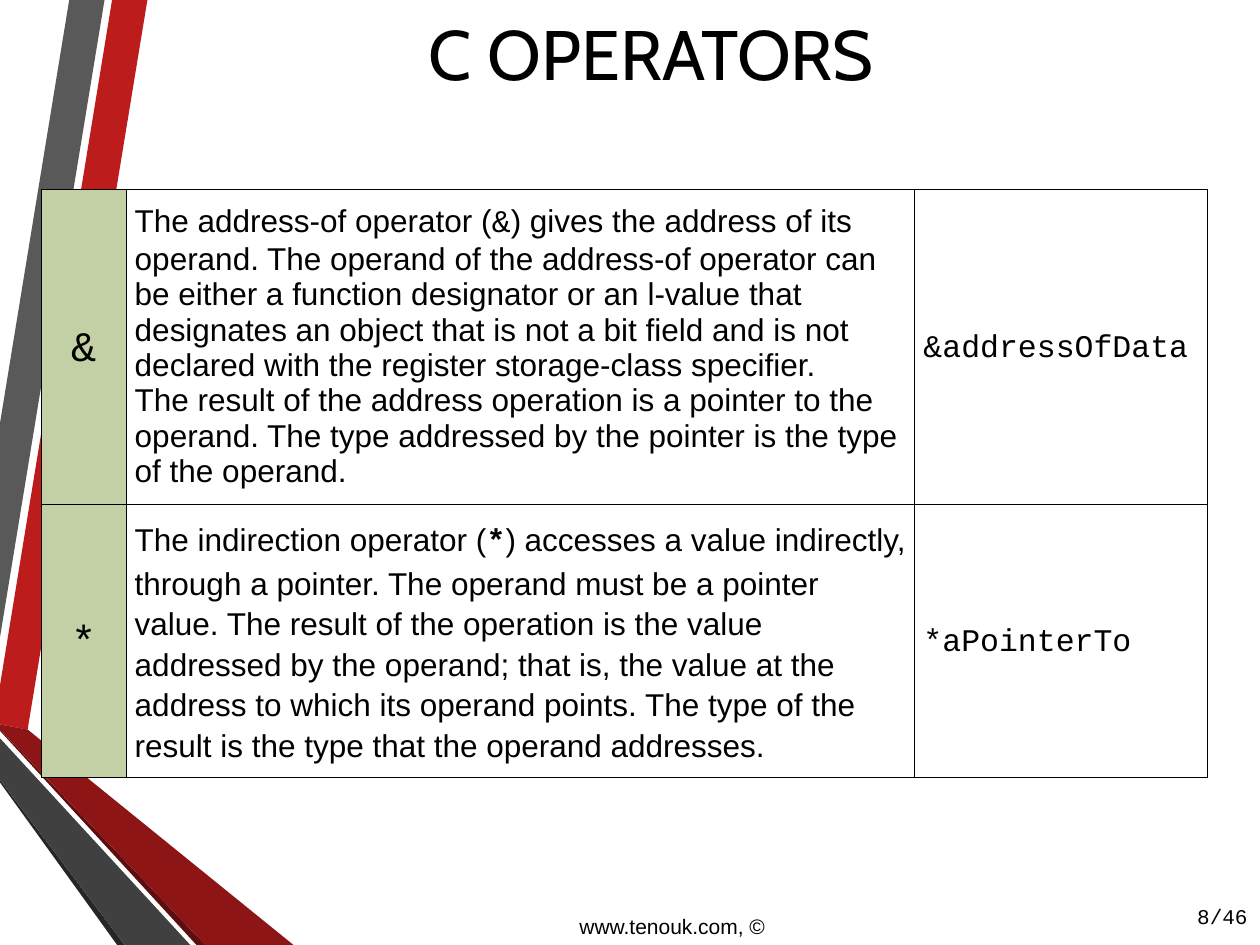
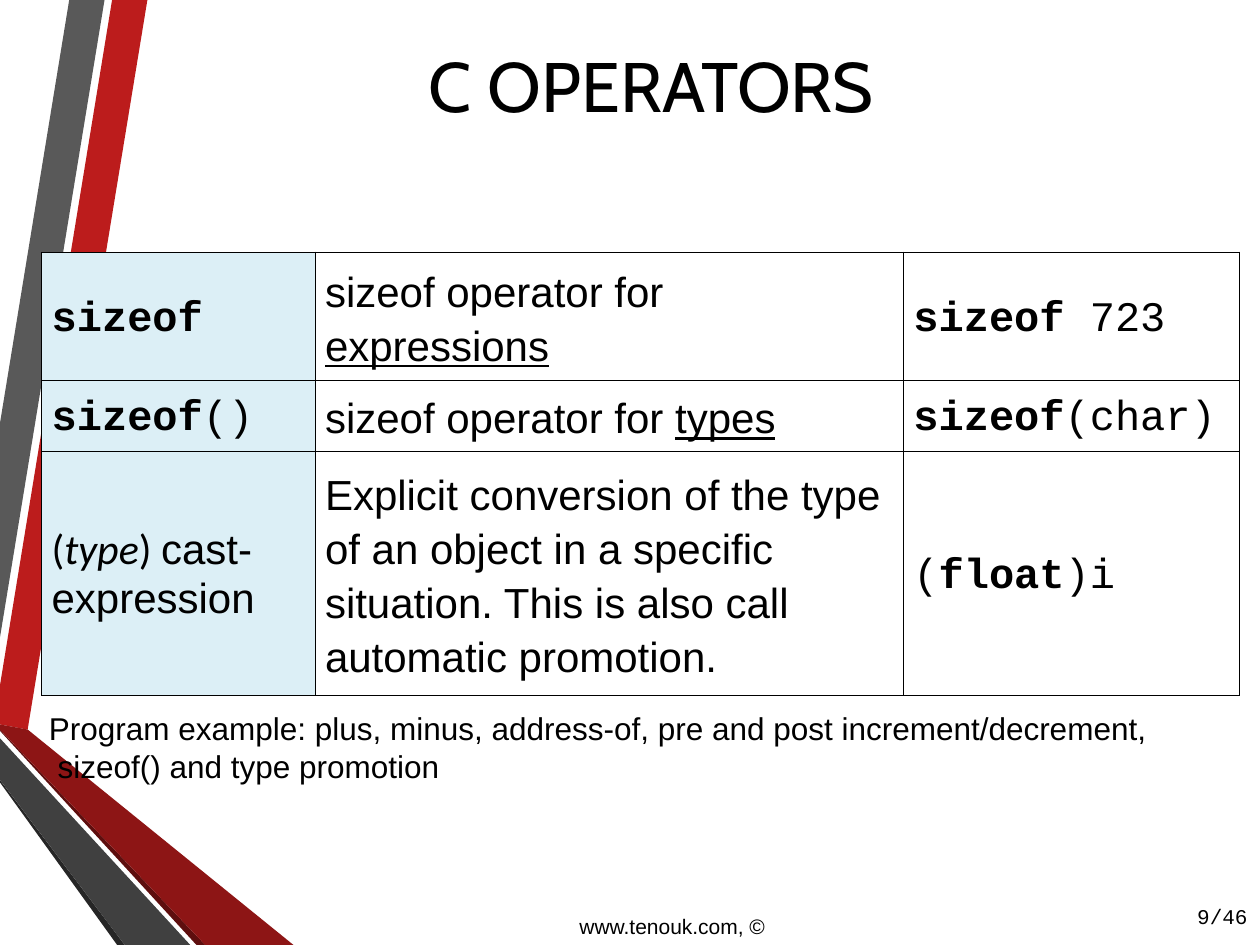
"""Build two slides on C operators: pointer operators, then sizeof and casts."""
import lxml.etree
import pptx
import pptx.dml.color
import pptx.enum.text
import pptx.oxml.ns
import pptx.util

Inches = pptx.util.Inches
Pt = pptx.util.Pt
ALIGN = pptx.enum.text.PP_ALIGN
MIDDLE = pptx.enum.text.MSO_ANCHOR.MIDDLE

COLORS = {
    "text": "000000",
    "pointer": "C3CFA4",
    "sizeof": "DCEFF6",
    "red": "BC1C1C",
    "gray": "595959",
    "gray_edge": "262626",
    "red_edge": "5E0E0E",
    "dark_red": "8D1515",
    "dark_gray": "404040",
}
SANS, MONO, TITLE_FONT, CAST_FONT = "Arial", "Courier New", "Cabin", "Calibri"
BORDER = Pt(0.45)
PAGE_COUNT = 46

RIBBONS = [
    ("red", [(0, 5.44), (0, 5.75), (0.22, 5.79), (1.17, 0), (0.89, 0)]),
    ("gray", [(0.83, 0), (0.55, 0), (0, 3.36), (0, 5.06)]),
    ("gray_edge", [(0, 6.19), (0, 6.21), (0.93, 7.5), (0.99, 7.5)]),
    ("red_edge", [(0, 5.79), (0, 5.8), (1.56, 7.5), (1.63, 7.5)]),
    ("dark_red", [(0, 5.79), (1.63, 7.5), (2.33, 7.5), (0.22, 5.79), (0, 5.75)]),
    ("dark_gray", [(0, 6.19), (0.99, 7.5), (1.51, 7.5), (0, 5.86)]),
]


def rgb(name):
    return pptx.dml.color.RGBColor.from_string(COLORS[name])


def write_paragraph(paragraph, runs, size, align=ALIGN.LEFT, spacing=None):
    """Write (text, font, style letters) runs, sharing what they agree on."""
    paragraph.alignment = align
    paragraph.line_spacing = spacing
    paragraph.font.size = Pt(size)
    paragraph.font.color.rgb = rgb("text")
    fonts = {font for _, font, _ in runs}
    if len(fonts) == 1:
        paragraph.font.name = runs[0][1]
    for text, font, style in runs:
        run = paragraph.add_run()
        run.text = text
        if len(fonts) > 1:
            run.font.name = font
        if "b" in style:
            run.font.bold = True
        if "i" in style:
            run.font.italic = True
        if "u" in style:
            run.font.underline = True


def add_ribbons(slide):
    """Draw the ribbons and move them to the slide master."""
    master = slide.slide_layout.slide_master
    for index, (color, points) in enumerate(RIBBONS):
        corners = [(Inches(x), Inches(y)) for x, y in points]
        builder = slide.shapes.build_freeform(*corners[0])
        builder.add_line_segments(corners[1:], close=True)
        ribbon = builder.convert_to_shape()
        ribbon.shadow.inherit = False
        ribbon.fill.solid()
        ribbon.fill.fore_color.rgb = rgb(color)
        ribbon.line.fill.background()
        ribbon.element.nvSpPr.cNvPr.id = 100 + index
        master.shapes.element.insert(2 + index, ribbon.element)


def add_title(slide, top):
    title = slide.shapes.title
    title.left, title.top = Inches(0.67), Inches(top)
    title.width, title.height = Inches(9), Inches(0.84)
    frame = title.text_frame
    frame.vertical_anchor = MIDDLE
    frame.auto_size = pptx.enum.text.MSO_AUTO_SIZE.NONE
    write_paragraph(frame.paragraphs[0], [("C OPERATORS", TITLE_FONT, "")], 40, ALIGN.CENTER)


def add_text(slide, box, lines, size, font=SANS, align=ALIGN.LEFT, wrap=True):
    frame = slide.shapes.add_textbox(*map(Inches, box)).text_frame
    frame.word_wrap = wrap
    for index, line in enumerate(lines):
        paragraph = frame.add_paragraph() if index else frame.paragraphs[0]
        write_paragraph(paragraph, [(line, font, "")], size, align)
    return frame


def add_footer(slide, page):
    number = add_text(slide, (9.17, 7.07, 0.83, 0.4), [f"{page}/{PAGE_COUNT}"], 12, MONO, ALIGN.RIGHT)
    number.vertical_anchor = MIDDLE
    add_text(slide, (4.5, 7.2, 1.75, 0.3), ["www.tenouk.com, ©"], 12)


def border_cell(cell):
    """Put a thin line on the four sides of a cell."""
    properties = cell._tc.get_or_add_tcPr()
    for index, side in enumerate(("lnL", "lnR", "lnT", "lnB")):
        line = lxml.etree.Element(pptx.oxml.ns.qn(f"a:{side}"), w=str(int(BORDER)))
        fill = lxml.etree.SubElement(line, pptx.oxml.ns.qn("a:solidFill"))
        lxml.etree.SubElement(fill, pptx.oxml.ns.qn("a:srgbClr"), val=COLORS["text"])
        properties.insert(index, line)


def add_operator_table(slide, top, widths, heights, rows, key_color, margin):
    """Add a table whose cells are lists of (runs, size, align, spacing)."""
    frame = slide.shapes.add_table(
        len(heights), len(widths), Inches(0.33), Inches(top),
        Inches(sum(widths)), Inches(sum(heights)))
    table = frame.table
    table.first_row = table.horz_banding = False
    for column, width in zip(table.columns, widths):
        column.width = Inches(width)
    for row, height, contents in zip(table.rows, heights, rows):
        row.height = Inches(height)
        for column, (cell, paragraphs) in enumerate(zip(row.cells, contents)):
            cell.vertical_anchor = MIDDLE
            cell.margin_left = cell.margin_right = Inches(margin)
            cell.margin_top = cell.margin_bottom = Inches(0.05)
            if column == 0:
                cell.fill.solid()
                cell.fill.fore_color.rgb = rgb(key_color)
            else:
                cell.fill.background()
            border_cell(cell)
            for index, paragraph in enumerate(paragraphs):
                target = cell.text_frame.add_paragraph() if index else cell.text_frame.paragraphs[0]
                write_paragraph(target, *paragraph)


def loose(size, *runs, align=ALIGN.LEFT):
    """Return a cell with one paragraph at 1.15 line spacing."""
    return [(runs, size, align, 1.15)]


def add_pointer_slide(slide):
    add_title(slide, 0)
    address_of = [
        ([("The address-of operator (", SANS, ""), ("&", MONO, ""),
          (") gives the address of its operand. The operand of the address-of operator can be "
           "either a function designator or an l-value that designates an object that is not a "
           "bit field and is not declared with the register storage-class specifier.", SANS, "")], 18),
        ([("The result of the address operation is a pointer to the operand. The type addressed "
           "by the pointer is the type of the operand.", SANS, "")], 18),
    ]
    indirection = loose(
        18, ("The indirection operator (", SANS, ""), ("*", MONO, "b"),
        (") accesses a value indirectly, through a pointer. The operand must be a pointer value. "
         "The result of the operation is the value addressed by the operand; that is, the value "
         "at the address to which its operand points. The type of the result is the type that "
         "the operand addresses.", SANS, ""))
    rows = [
        [loose(24, ("&", MONO, ""), align=ALIGN.CENTER), address_of,
         loose(18, ("&addressOfData", MONO, ""))],
        [loose(24, ("*", MONO, ""), align=ALIGN.CENTER), indirection,
         loose(18, ("*aPointerTo", MONO, ""))],
    ]
    add_operator_table(slide, 1.5, (0.67, 6.26, 2.32), (2.5, 2.17), rows, "pointer", 0.07)
    add_footer(slide, 8)


def add_sizeof_slide(slide):
    add_title(slide, 0.25)
    keyword = ("sizeof", MONO, "b")
    purpose = ("sizeof operator for ", SANS, "")
    cast = [([("(", CAST_FONT, ""), ("type", CAST_FONT, "i"), (") ", CAST_FONT, ""),
              ("cast-expression", SANS, "")], 24)]
    rows = [
        [loose(24, keyword), loose(24, purpose, ("expressions", SANS, "u")),
         loose(24, keyword, (" 723", MONO, ""))],
        [loose(24, keyword, ("()", MONO, "")), loose(24, purpose, ("types", SANS, "u")),
         loose(24, keyword, ("(char)", MONO, ""))],
        [cast,
         loose(24, ("Explicit conversion of the type of an object in a specific situation. "
                    "This is also call automatic promotion.", SANS, "")),
         loose(24, ("(", MONO, ""), ("float", MONO, "b"), (")i", MONO, ""))],
    ]
    add_operator_table(slide, 2, (2.17, 4.67, 2.67), (1.02, 0.56, 1.94), rows, "sizeof", 0.08)
    add_text(slide, (0.29, 5.58, 8.91, 0.7), [
        "Program example: plus, minus, address-of, pre and post increment/decrement,",
        " sizeof() and type promotion"], 18, wrap=False)
    add_footer(slide, 9)


def main():
    deck = pptx.Presentation()
    deck.slide_width, deck.slide_height = Inches(10), Inches(7.5)
    title_only = deck.slide_layouts[5]
    pointer_slide = deck.slides.add_slide(title_only)
    add_ribbons(pointer_slide)
    add_pointer_slide(pointer_slide)
    add_sizeof_slide(deck.slides.add_slide(title_only))
    deck.save("out.pptx")


if __name__ == "__main__":
    main()
